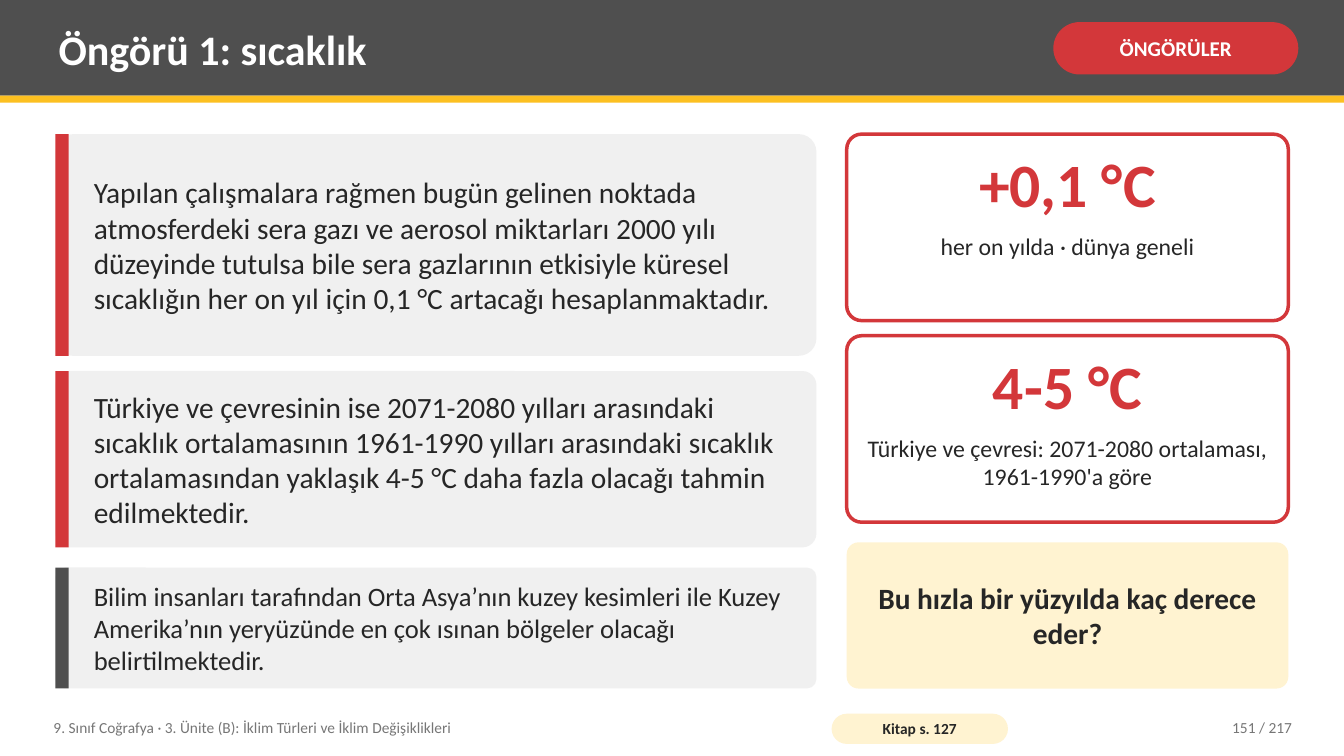
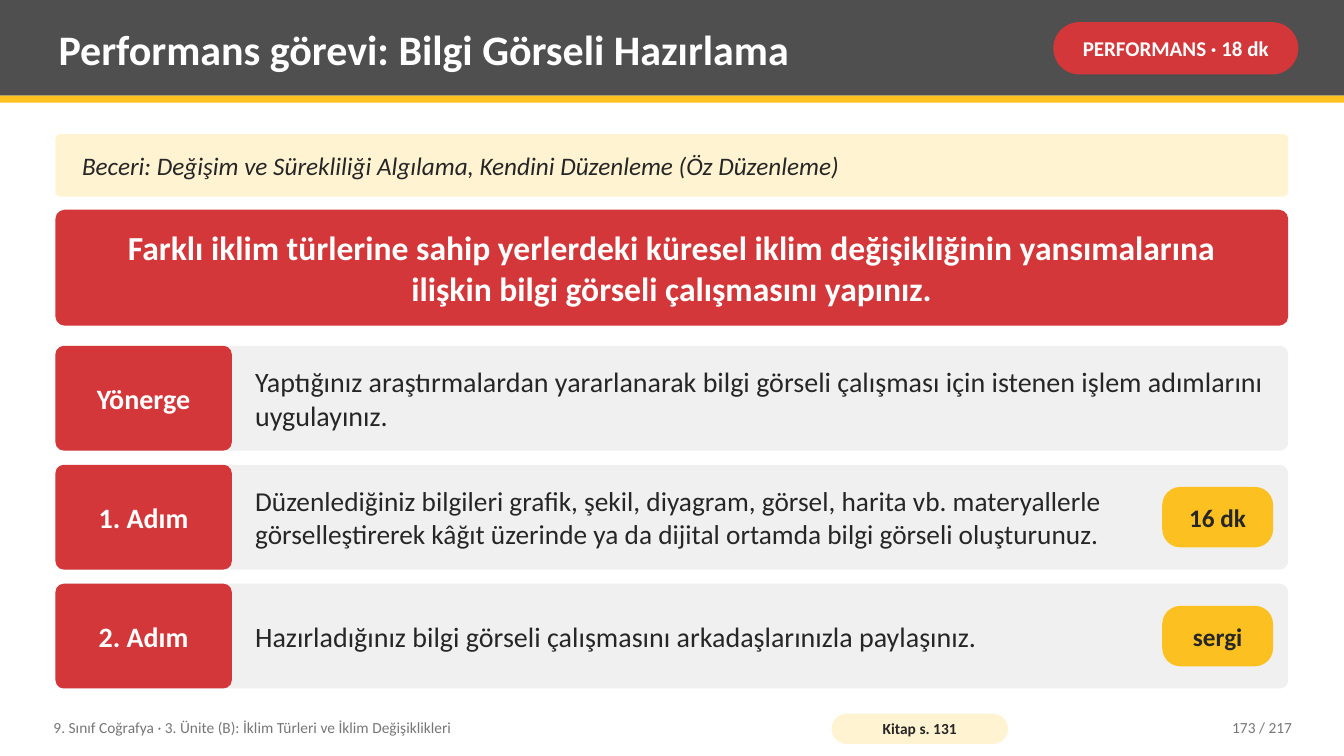
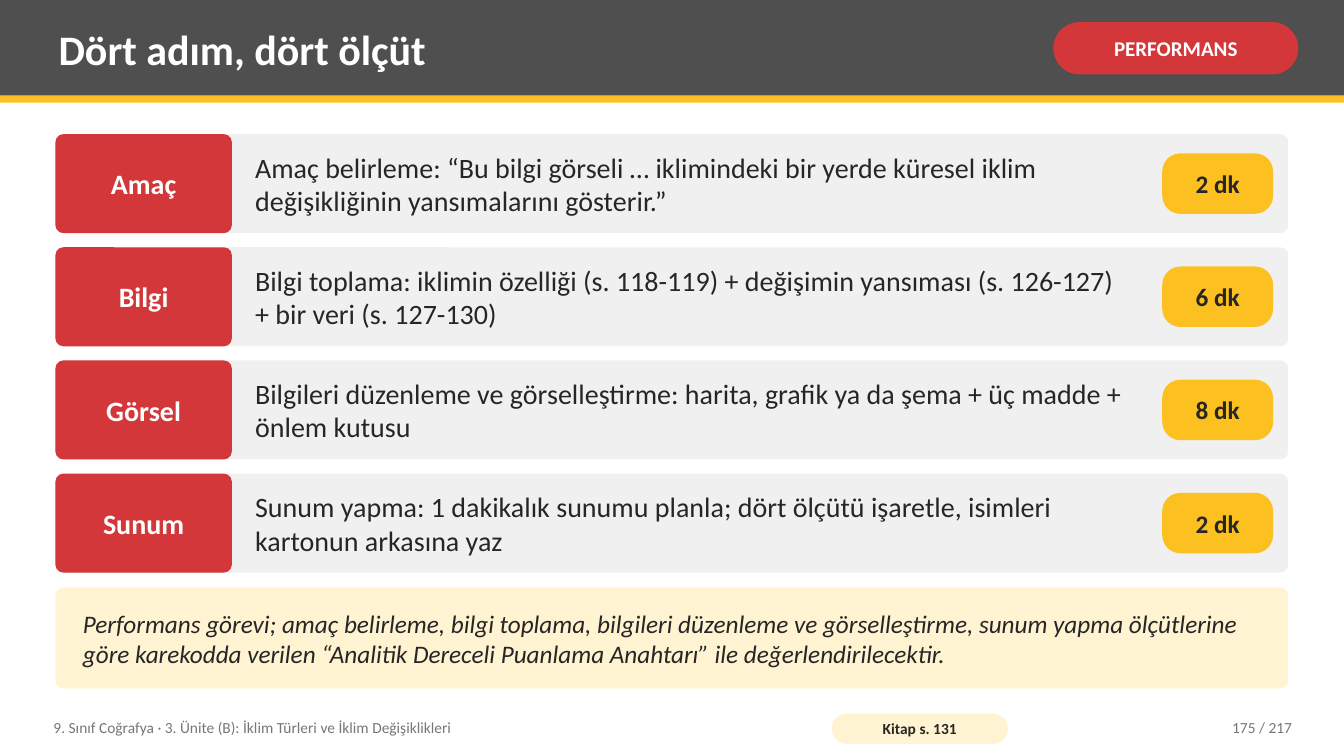
import pptx
import pptx.util
import pptx.dml.color
import pptx.enum.shapes
import pptx.enum.text

Pt = pptx.util.Pt
RGB = pptx.dml.color.RGBColor
SHAPE = pptx.enum.shapes.MSO_SHAPE
ALIGN = pptx.enum.text.PP_ALIGN
ANCHOR = pptx.enum.text.MSO_ANCHOR

# Shared look
FONT = "Calibri"
GREY = RGB(0x4F, 0x4F, 0x4F)
YELLOW = RGB(0xFC, 0xC0, 0x21)
RED = RGB(0xD3, 0x37, 0x3A)
PALE = RGB(0xF0, 0xF0, 0xF0)
CREAM = RGB(0xFF, 0xF3, 0xD1)
WHITE = RGB(0xFF, 0xFF, 0xFF)
INK = RGB(0x26, 0x26, 0x26)
MUTED = RGB(0x76, 0x76, 0x76)

WIDTH, HEIGHT = 960, 540
LEFT, TOP, BOTTOM = 39.6, 95.8, 491.8
FULL = 880.6
GAP, WIDE_GAP = 10.1, 14.4
TEXT_INSET = (5.8, 2.9)

# Content
FOOTER = "9. Sınıf Coğrafya · 3. Ünite (B): İklim Türleri ve İklim Değişiklikleri"
TOTAL = 217

CARDS = [  # top, height, bar colour, size, text
    (TOP, 158.4, RED, 21,
     "Yapılan çalışmalara rağmen bugün gelinen noktada atmosferdeki sera gazı ve "
     "aerosol miktarları 2000 yılı düzeyinde tutulsa bile sera gazlarının etkisiyle "
     "küresel sıcaklığın her on yıl için 0,1 °C artacağı hesaplanmaktadır."),
    (265, 126, RED, 21,
     "Türkiye ve çevresinin ise 2071-2080 yılları arasındaki sıcaklık ortalamasının "
     "1961-1990 yılları arasındaki sıcaklık ortalamasından yaklaşık 4-5 °C daha fazla "
     "olacağı tahmin edilmektedir."),
    (405.4, 86.4, GREY, 19,
     "Bilim insanları tarafından Orta Asya’nın kuzey kesimleri ile Kuzey Amerika’nın "
     "yeryüzünde en çok ısınan bölgeler olacağı belirtilmektedir."),
]
STATS = [
    ("+0,1 °C", "her on yılda · dünya geneli"),
    ("4-5 °C", "Türkiye ve çevresi: 2071-2080 ortalaması, 1961-1990'a göre"),
]
QUESTION = "Bu hızla bir yüzyılda kaç derece eder?"

SKILL = "Beceri: Değişim ve Sürekliliği Algılama, Kendini Düzenleme (Öz Düzenleme)"
TASK = ("Farklı iklim türlerine sahip yerlerdeki küresel iklim değişikliğinin "
        "yansımalarına ilişkin bilgi görseli çalışmasını yapınız.")
STEPS = [  # label, text, chip, size
    ("Yönerge", "Yaptığınız araştırmalardan yararlanarak bilgi görseli çalışması için "
     "istenen işlem adımlarını uygulayınız.", None, 20),
    ("1. Adım", "Düzenlediğiniz bilgileri grafik, şekil, diyagram, görsel, harita vb. "
     "materyallerle görselleştirerek kâğıt üzerinde ya da dijital ortamda bilgi görseli "
     "oluşturunuz.", "16 dk", 19.5),
    ("2. Adım", "Hazırladığınız bilgi görseli çalışmasını arkadaşlarınızla paylaşınız.",
     "sergi", 20),
]
CRITERIA = [
    ("Amaç", "Amaç belirleme: “Bu bilgi görseli … iklimindeki bir yerde küresel iklim "
     "değişikliğinin yansımalarını gösterir.”", "2 dk", 20),
    ("Bilgi", "Bilgi toplama: iklimin özelliği (s. 118-119) + değişimin yansıması "
     "(s. 126-127) + bir veri (s. 127-130)", "6 dk", 20),
    ("Görsel", "Bilgileri düzenleme ve görselleştirme: harita, grafik ya da şema + "
     "üç madde + önlem kutusu", "8 dk", 20),
    ("Sunum", "Sunum yapma: 1 dakikalık sunumu planla; dört ölçütü işaretle, isimleri "
     "kartonun arkasına yaz", "2 dk", 20),
]
GRADING = ("Performans görevi; amaç belirleme, bilgi toplama, bilgileri düzenleme ve "
           "görselleştirme, sunum yapma ölçütlerine göre karekodda verilen “Analitik "
           "Dereceli Puanlama Anahtarı” ile değerlendirilecektir.")


# Building blocks
def write(sp, text, size, color=INK, bold=False, italic=False, align=ALIGN.LEFT,
          anchor=ANCHOR.MIDDLE, inset=TEXT_INSET):
    tf = sp.text_frame
    tf.word_wrap = True
    tf.auto_size = pptx.enum.text.MSO_AUTO_SIZE.NONE
    tf.vertical_anchor = anchor
    tf.margin_left = tf.margin_right = Pt(inset[0])
    tf.margin_top = tf.margin_bottom = Pt(inset[1])
    p = tf.paragraphs[0]
    p.alignment = align
    r = p.add_run()
    r.text = text
    r.font.name, r.font.size = FONT, Pt(size)
    r.font.bold, r.font.italic = bold, italic
    r.font.color.rgb = color


def add_text(s, box, text, size, **style):
    write(s.shapes.add_textbox(*map(Pt, box)), text, size, **style)


def add_box(s, box, fill, radius=0.08, line=None):
    kind = SHAPE.ROUNDED_RECTANGLE if radius else SHAPE.RECTANGLE
    sp = s.shapes.add_shape(kind, *map(Pt, box))
    if radius:
        sp.adjustments[0] = radius
    sp.shadow.inherit = False
    sp.fill.solid()
    sp.fill.fore_color.rgb = fill
    if line:
        sp.line.color.rgb = line
        sp.line.width = Pt(2.5)
    else:
        sp.line.fill.background()
    return sp


def add_label(s, box, fill, text, size, radius=0.08, align=ALIGN.CENTER, **style):
    write(add_box(s, box, fill, radius), text, size, align=align, **style)


def add_slide(prs, title, tag, book_page, number):
    s = prs.slides.add_slide(prs.slide_layouts[5])
    # Header: bands go behind the title
    sp = s.shapes.title
    for top, height, color in ((0, 68.4, GREY), (68.4, 5, YELLOW)):
        band = add_box(s, (0, top, WIDTH, height), color, radius=0)
        sp.element.addprevious(band.element)
    sp.left, sp.top, sp.width, sp.height = map(Pt, (36, 5, 702, 59))
    write(sp, title, 30, WHITE, bold=True)
    add_label(s, (752.4, 15.8, 175, 37.4), RED, tag, 15, radius=0.5,
              color=WHITE, bold=True, inset=(3.6, 1.4))
    # Footer
    add_text(s, (32.4, 506.9, 547.2, 25.9), FOOTER, 11, color=MUTED)
    add_label(s, (594, 509.8, 126, 21.6), CREAM, f"Kitap s. {book_page}", 11,
              radius=0.5, bold=True, inset=(2.9, 0))
    add_text(s, (813.6, 506.9, 115.2, 25.9), f"{number} / {TOTAL}", 11,
             color=MUTED, align=ALIGN.RIGHT)
    return s


def add_rows(s, rows, top, bottom):
    height = (bottom - top - GAP * (len(rows) - 1)) / len(rows)
    for i, (label, text, chip, size) in enumerate(rows):
        y = top + i * (height + GAP)
        add_box(s, (LEFT, y, FULL, height), PALE)
        add_label(s, (LEFT, y, 126, height), RED, label, 20,
                  color=WHITE, bold=True, inset=(4.3, 5.8))
        add_text(s, (176.4, y, 639.4 if chip else 736.6, height), text, size)
        if chip:
            add_label(s, (830.2, y + (height - 43.2) / 2, 79.2, 43.2), YELLOW, chip, 18,
                      radius=0.3, bold=True, inset=(2.2, 0))


def add_note(s, top, height, text):
    add_label(s, (LEFT, top, FULL, height), CREAM, text, 18,
              align=ALIGN.LEFT, italic=True, inset=(18, 5.8))


# Slides
def build_forecast(prs):
    s = add_slide(prs, "Öngörü 1: sıcaklık", "ÖNGÖRÜLER", 127, 151)
    for top, height, color, size, text in CARDS:
        add_box(s, (LEFT, top, 543.6, height), PALE)
        add_box(s, (LEFT, top, 9.4, height), color, radius=0)
        add_text(s, (61.2, top, 511.2, height), text, size)
    x, width, height = 604.8, 315.4, 133.2
    for i, (value, caption) in enumerate(STATS):
        y = TOP + i * (height + 10.8)
        add_box(s, (x, y, width, height), WHITE, line=RED)
        add_text(s, (x + 7.2, y + 4.3, width - 14.4, 61.2), value, 44, color=RED,
                 bold=True, align=ALIGN.CENTER, inset=(5.8, 0))
        add_text(s, (x + 8.6, y + 67, width - 17.2, 62.6), caption, 17,
                 align=ALIGN.CENTER, anchor=ANCHOR.TOP)
    top = y + height + WIDE_GAP
    add_label(s, (x, top, width, BOTTOM - top), CREAM, QUESTION, 21,
              bold=True, inset=(10.1, 5.8))


def build_task(prs):
    s = add_slide(prs, "Performans görevi: Bilgi Görseli Hazırlama",
                  "PERFORMANS · 18 dk", 131, 173)
    add_note(s, TOP, 44.6, SKILL)
    add_label(s, (LEFT, 149.8, FULL, 82.8), RED, TASK, 24,
              color=WHITE, bold=True, inset=(21.6, 5.8))
    add_rows(s, STEPS, 247, BOTTOM)


def build_criteria(prs):
    s = add_slide(prs, "Dört adım, dört ölçüt", "PERFORMANS", 131, 175)
    add_rows(s, CRITERIA, TOP, 409)
    add_note(s, BOTTOM - 72, 72, GRADING)


def main():
    prs = pptx.Presentation()
    prs.slide_width, prs.slide_height = Pt(WIDTH), Pt(HEIGHT)
    build_forecast(prs)
    build_task(prs)
    build_criteria(prs)
    prs.save("out.pptx")


if __name__ == "__main__":
    main()
